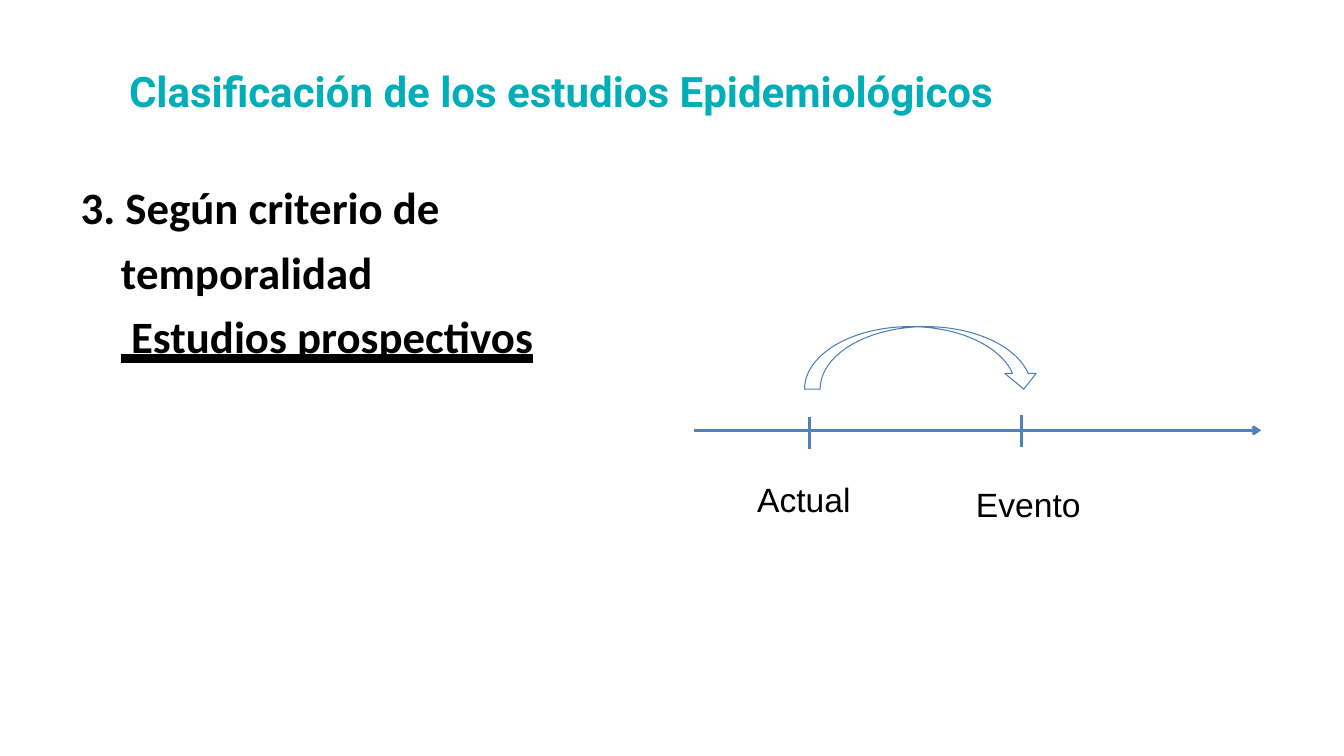
from lxml import etree
from pptx import Presentation
from pptx.dml.color import RGBColor
from pptx.enum.shapes import MSO_CONNECTOR, MSO_SHAPE
from pptx.enum.text import MSO_ANCHOR, MSO_UNDERLINE
from pptx.oxml.ns import qn
from pptx.util import Inches, Pt

STRAIGHT = MSO_CONNECTOR.STRAIGHT
CURVED_ARROW = MSO_SHAPE.CURVED_DOWN_ARROW
TOP, MIDDLE = MSO_ANCHOR.TOP, MSO_ANCHOR.MIDDLE
HEAVY = MSO_UNDERLINE.HEAVY_LINE

COLORS = {"title": "00AEB8", "text": "000000", "axis": "4F81BD", "jump": "4A7EBB"}


def color(name):
    return RGBColor.from_string(COLORS[name])


def add_text(page, box, text, font, size, color_name="text", bold=False, anchor=TOP):
    """Add a one-paragraph text box and return its paragraph."""
    frame = page.shapes.add_textbox(*map(Inches, box)).text_frame
    frame.word_wrap = True
    frame.vertical_anchor = anchor
    frame.margin_left = frame.margin_right = frame.margin_bottom = 0
    frame.margin_top = Inches(0.02)
    para = frame.paragraphs[0]
    para.add_run().text = text
    para.font.name = font
    para.font.size = Pt(size)
    para.font.bold = bold
    para.font.color.rgb = color(color_name)
    return para


def add_line(page, x1, y1, x2, y2):
    line = page.shapes.add_connector(STRAIGHT, *map(Inches, (x1, y1, x2, y2)))
    line.line.color.rgb = color("axis")
    line.line.width = Pt(2)
    etree.SubElement(line._element.spPr, qn("a:effectLst"))
    return line


def add_criterion(page, box):
    para = add_text(page, box, "3. Según criterio de temporalidad", "Calibri", 32, bold=True)
    para.line_spacing = 1.2
    properties = para._p.get_or_add_pPr()
    properties.set("marL", str(Inches(0.42)))
    properties.set("indent", str(Inches(-0.4)))
    para.add_line_break()
    study = para.add_run()
    study.text = " Estudios prospectivos"
    study.font.underline = HEAVY


def add_timeline(page, box):
    """Draw the time axis with its two marks and the arrow jumping between them."""
    left, top, width, height = box
    axis_y = top + 1.03
    axis = add_line(page, left, axis_y, left + width, axis_y)
    etree.SubElement(axis.line._get_or_add_ln(), qn("a:tailEnd"), type="arrow")

    marks = (("Actual", 1.15, 0.9, 0.61, 0.96), ("Evento", 3.25, 0.88, 2.78, 1.08))
    for label, mark_x, mark_y, label_x, label_width in marks:
        x, y = left + mark_x, top + mark_y
        add_line(page, x, y, x, y + 0.31)
        label_top = y + (0.59 if label == "Actual" else 0.66)
        para = add_text(page, (left + label_x, label_top, label_width, 0.42), label, "Arial", 24)
        para._p.get_or_add_pPr().set("marL", str(Inches(0.02)))

    jump = page.shapes.add_shape(
        CURVED_ARROW, *map(Inches, (left + 1.1, top, 2.33, 0.62)))
    jump.shadow.inherit = False
    jump.fill.background()
    jump.line.color.rgb = color("jump")
    jump.line.width = Pt(0.75)


def main():
    deck = Presentation()
    deck.slide_width, deck.slide_height = Inches(13.33), Inches(7.5)
    page = deck.slides.add_slide(deck.slide_layouts[6])
    add_text(page, (1.28, 0.63, 10.77, 0.52), "Clasificación de los estudios Epidemiológicos",
             "Roboto", 30, "title", bold=True, anchor=MIDDLE)
    add_criterion(page, (0.78, 1.66, 6.18, 1.27))
    add_timeline(page, (6.88, 3.24, 5.63, 1.96))
    deck.save("out.pptx")


if __name__ == "__main__":
    main()
